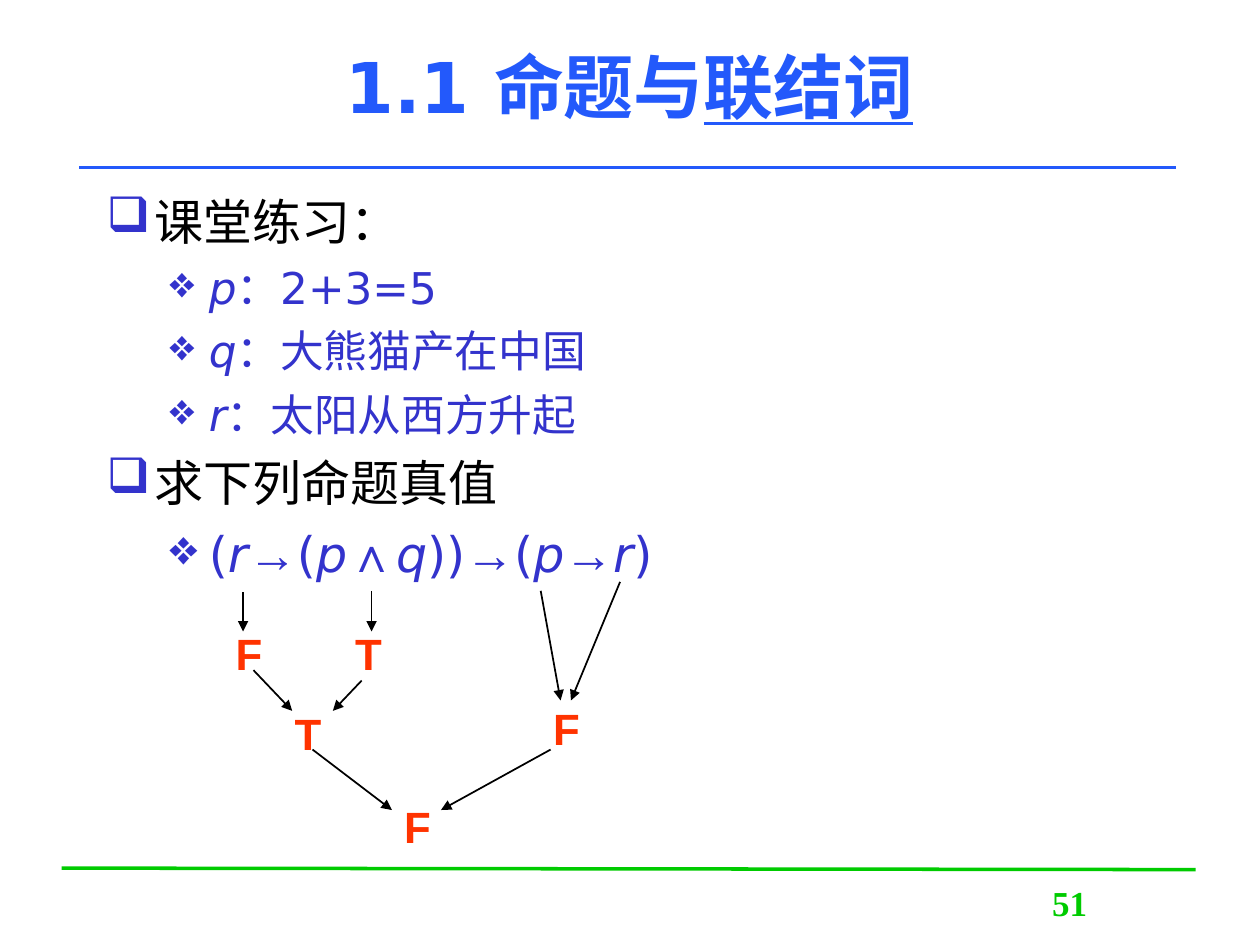
from dataclasses import dataclass
from itertools import groupby

from lxml import etree
from pptx import Presentation
from pptx.dml.color import RGBColor
from pptx.enum.shapes import MSO_CONNECTOR
from pptx.enum.text import MSO_ANCHOR, PP_ALIGN
from pptx.oxml.ns import qn
from pptx.util import Cm, Pt

STRAIGHT = MSO_CONNECTOR.STRAIGHT
CENTER = PP_ALIGN.CENTER
LEFT = PP_ALIGN.LEFT
TOP = MSO_ANCHOR.TOP
MIDDLE = MSO_ANCHOR.MIDDLE

BLUE = RGBColor(0x23, 0x59, 0xFB)
GREEN = RGBColor(0x00, 0xCB, 0x00)
INDIGO = RGBColor(0x33, 0x33, 0xCC)
RED = RGBColor(0xFF, 0x33, 0x00)
BLACK = RGBColor(0, 0, 0)

SANS = "DejaVu Sans"
SERIF = "Times New Roman"
ARIAL = "Arial"


@dataclass(frozen=True)
class Line:
    x1: float
    y1: float
    x2: float
    y2: float
    color: RGBColor = BLACK
    width: float = 1
    arrow: bool = True


@dataclass(frozen=True)
class TruthValue:
    text: str
    x: float
    y: float


@dataclass(frozen=True)
class Level:
    bullet: str
    margin: float
    hanging: float


@dataclass(frozen=True)
class Item:
    text: str
    level: Level
    size: float
    before: float


HEADING = Level("❑", 0.97, 0.97)
FORMULA = Level("❖", 2.06, 0.79)

RULES = [
    Line(1.24, 17.5, 24.1, 17.53, GREEN, 2, False),
    Line(1.6, 3.38, 23.7, 3.38, BLUE, 2, False),
]
ARROWS = [
    Line(7.49, 11.91, 7.49, 12.73),
    Line(4.9, 11.94, 4.9, 12.73),
    Line(5.11, 13.51, 5.89, 14.33),
    Line(7.29, 13.72, 6.71, 14.33),
    Line(10.9, 11.91, 11.3, 14.12),
    Line(12.5, 11.73, 11.51, 14.12),
    Line(6.3, 15.11, 7.9, 16.33),
    Line(11.1, 15.11, 8.89, 16.33),
]
TRUTH_VALUES = [
    TruthValue("T", 6.91, 12.52),
    TruthValue("F", 4.5, 12.52),
    TruthValue("T", 5.69, 14.12),
    TruthValue("F", 10.9, 14.02),
    TruthValue("F", 7.9, 16),
]
ITEMS = [
    Item("课堂练习：", HEADING, 28, 0),
    Item("p：2+3=5", FORMULA, 25, 6.2),
    Item("q：大熊猫产在中国", FORMULA, 25, 6.2),
    Item("r：太阳从西方升起", FORMULA, 25, 6.2),
    Item("求下列命题真值", HEADING, 28, 7),
    Item("(r→(p∧q))→(p→r)", FORMULA, 28, 7),
]


def add_run(p, text: str, *, size: float, font: str, color: RGBColor,
            bold: bool = False, italic: bool = False, underline: bool = False) -> None:
    r = p.add_run()
    r.text = text
    f = r.font
    f.size, f.name, f.bold, f.italic, f.underline = Pt(size), font, bold, italic, underline
    f.color.rgb = color


def add_box(s, x: float, y: float, w: float, h: float, align=LEFT, anchor=TOP):
    tf = s.shapes.add_textbox(Cm(x), Cm(y), Cm(w), Cm(h)).text_frame
    tf.word_wrap = True
    tf.vertical_anchor = anchor
    tf.paragraphs[0].alignment = align
    return tf


def add_line(s, line: Line) -> None:
    c = s.shapes.add_connector(STRAIGHT, Cm(line.x1), Cm(line.y1), Cm(line.x2), Cm(line.y2))
    c.line.color.rgb = line.color
    c.line.width = Pt(line.width)
    if line.arrow:
        etree.SubElement(c.line._get_or_add_ln(), qn("a:tailEnd"), type="triangle")
    etree.SubElement(c._element.spPr, qn("a:effectLst"))


def set_bullet(p, level: Level) -> None:
    pPr = p._p.get_or_add_pPr()
    pPr.set("marL", str(Cm(level.margin)))
    pPr.set("indent", str(-Cm(level.hanging)))
    color = etree.SubElement(pPr, qn("a:buClr"))
    etree.SubElement(color, qn("a:srgbClr"), val=str(INDIGO))
    etree.SubElement(pPr, qn("a:buChar"), char=level.bullet)


def formula_style(char: str) -> tuple[str, bool]:
    return (ARIAL if char in "→∧" else SANS), char in "pqr"


def add_item(p, item: Item) -> None:
    set_bullet(p, item.level)
    p.space_before = Pt(item.before)
    if item.level is HEADING:
        add_run(p, item.text, size=item.size, font=SERIF, color=BLACK)
        return
    for (font, italic), chars in groupby(item.text, formula_style):
        add_run(p, "".join(chars), size=item.size, font=font, color=INDIGO, italic=italic)


def main() -> None:
    """Build the slide on propositions and connectives."""
    prs = Presentation()
    prs.slide_width, prs.slide_height = Cm(25.4), Cm(19.05)
    s = prs.slides.add_slide(prs.slide_layouts[6])

    for rule in RULES:
        add_line(s, rule)

    tf = add_box(s, 19.56, 17.65, 4.01, 1.27, CENTER)
    add_run(tf.paragraphs[0], "51", size=20, font=SERIF, color=GREEN, bold=True)

    tf = add_box(s, 1.9, 0.13, 21.59, 3.17, CENTER, MIDDLE)
    for text, underline in (("1.1 命题与", False), ("联结词", True)):
        add_run(tf.paragraphs[0], text, size=40, font=SANS, color=BLUE,
                bold=True, underline=underline)

    tf = add_box(s, 1.9, 3.73, 22, 13.59)
    for i, item in enumerate(ITEMS):
        add_item(tf.add_paragraph() if i else tf.paragraphs[0], item)

    for arrow in ARROWS:
        add_line(s, arrow)
    for value in TRUTH_VALUES:
        tf = add_box(s, value.x, value.y, 2.21, 1.32)
        add_run(tf.paragraphs[0], value.text, size=25, font=ARIAL, color=RED, bold=True)

    prs.save("out.pptx")


if __name__ == "__main__":
    main()
